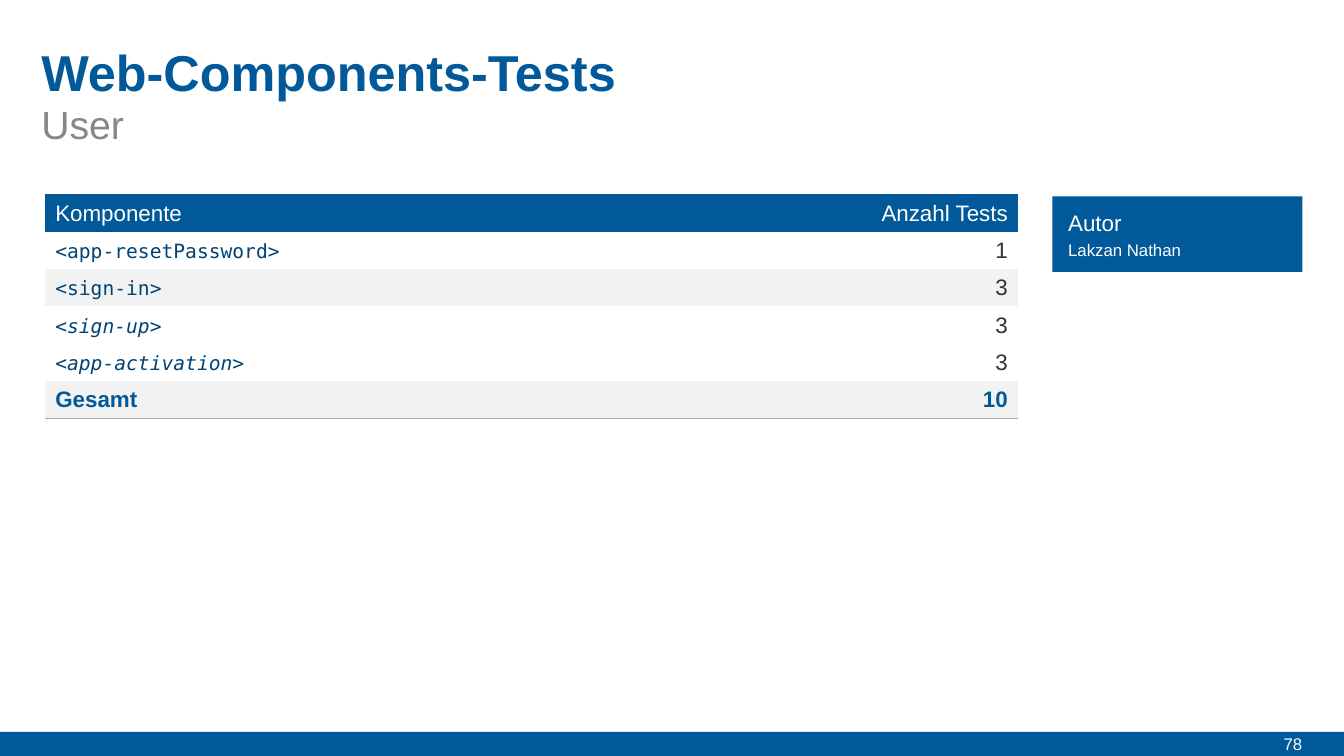
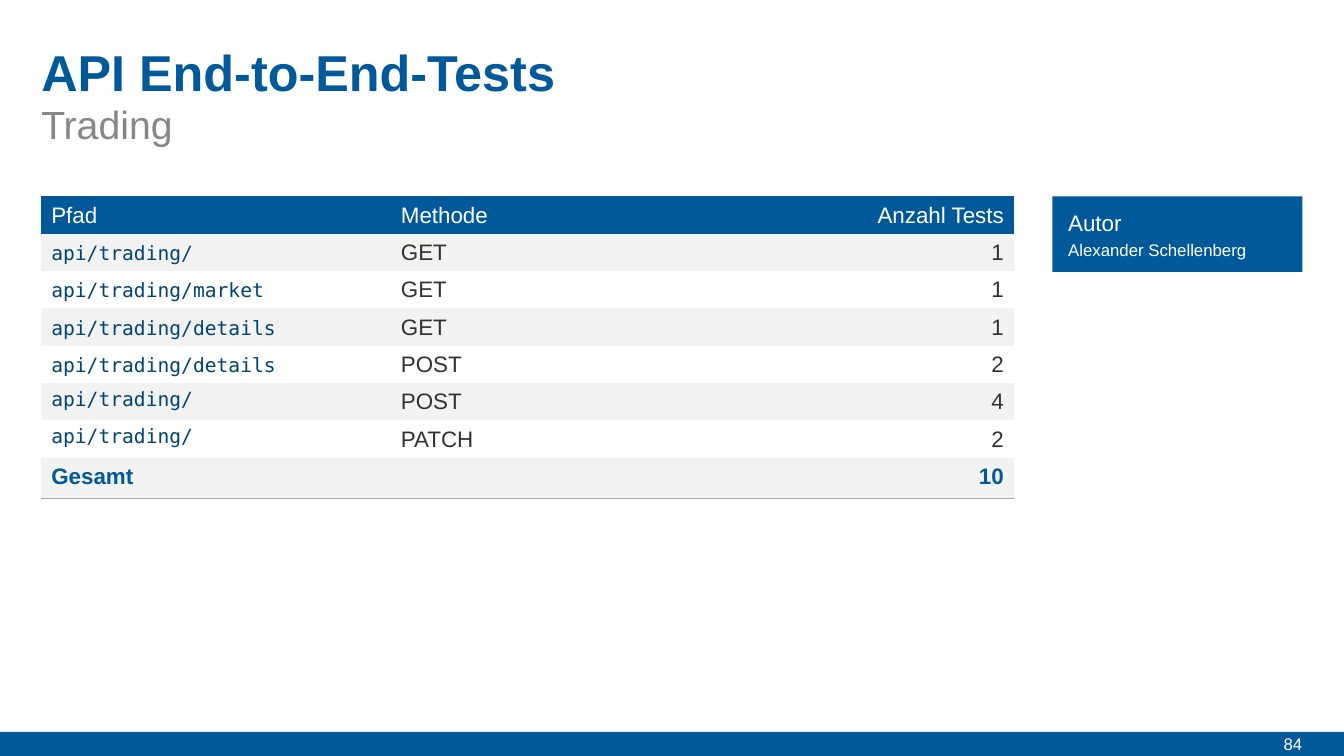
import pptx
import pptx.dml.color
import pptx.enum.shapes
import pptx.enum.text
import pptx.oxml
import pptx.oxml.ns
import pptx.util
from lxml import etree

Cm = pptx.util.Cm
Pt = pptx.util.Pt
Align = pptx.enum.text.PP_ALIGN
Anchor = pptx.enum.text.MSO_ANCHOR
AutoSize = pptx.enum.text.MSO_AUTO_SIZE

COLORS = {
    "blue": "015999",
    "navy": "014373",
    "gray": "878787",
    "text": "33322F",
    "shade": "F2F2F2",
    "rule": "A9A9A9",
    "white": "FFFFFF",
}
FONTS = {
    "title": {"name": "Arial", "size": Pt(36), "bold": True, "color": "blue"},
    "subtitle": {"name": "Arial", "size": Pt(28), "color": "gray"},
    "header": {"name": "Arial", "size": Pt(16), "color": "white"},
    "small": {"name": "Arial", "size": Pt(12), "color": "white"},
    "body": {"name": "Arial", "size": Pt(16), "color": "text"},
    "total": {"name": "Arial", "size": Pt(16), "bold": True, "color": "blue"},
    "code": {"name": "DejaVu Sans Mono", "size": Pt(14), "color": "navy"},
}
FONTS["code italic"] = FONTS["code"] | {"italic": True}

PAGE_WIDTH, PAGE_HEIGHT = 33.87, 19.05
MARGIN = 1.04
CONTENT_TOP = 4.95
CONTENT_WIDTH = 24.51
FOOTER_HEIGHT = 0.61
ROW_HEIGHT = 0.94
LINE = Pt(19)
PLAIN_TABLE_STYLE = "{2D5ABB26-0587-4C30-8999-92F81FD0307C}"


def rgb(color):
    return pptx.dml.color.RGBColor.from_string(COLORS[color])


def set_attributes(target, values):
    for name, value in values.items():
        setattr(target, name, value)


class Deck:
    def __init__(self):
        self.presentation = pptx.Presentation()
        self.presentation.slide_width = Cm(PAGE_WIDTH)
        self.presentation.slide_height = Cm(PAGE_HEIGHT)
        self.slide = None

    def add_slide(self, title, subtitle, number, author):
        layout = self.presentation.slide_layouts[1]
        self.slide = self.presentation.slides.add_slide(layout)
        footer_top = PAGE_HEIGHT - FOOTER_HEIGHT
        self.add_band(0, footer_top, PAGE_WIDTH, FOOTER_HEIGHT)
        self.add_text(number, "small", (30.94, footer_top, 1.88, FOOTER_HEIGHT),
                      anchor=Anchor.MIDDLE, alignment=Align.RIGHT)
        self.fill_placeholder(0, title, "title", 1.04, 1.57)
        self.fill_placeholder(1, subtitle, "subtitle", 2.41, 1.4, 1.1)
        self.add_author(author)

    def set_paragraph(self, paragraph, text, style, **formats):
        set_attributes(paragraph, formats)
        run = paragraph.add_run()
        run.text = text
        values = dict(FONTS[style])
        run.font.color.rgb = rgb(values.pop("color"))
        set_attributes(run.font, values)

    def set_frame(self, frame, anchor=Anchor.TOP, auto_size=AutoSize.NONE):
        set_attributes(frame, {
            "margin_left": 0, "margin_top": 0,
            "margin_right": 0, "margin_bottom": 0,
            "word_wrap": True, "vertical_anchor": anchor,
            "auto_size": auto_size,
        })

    def fill_placeholder(self, index, text, style, top, height, spacing=1.0):
        shape = self.slide.placeholders[index]
        set_attributes(shape, {
            "left": Cm(MARGIN), "top": Cm(top),
            "width": Cm(CONTENT_WIDTH), "height": Cm(height),
        })
        self.set_frame(shape.text_frame)
        paragraph = shape.text_frame.paragraphs[0]
        properties = paragraph._p.get_or_add_pPr()
        properties.set("marL", "0")
        properties.set("indent", "0")
        etree.SubElement(properties, pptx.oxml.ns.qn("a:buNone"))
        self.set_paragraph(paragraph, text, style, alignment=Align.LEFT,
                           line_spacing=spacing, space_before=Pt(0))

    def add_band(self, left, top, width, height):
        shape = self.slide.shapes.add_shape(
            pptx.enum.shapes.MSO_SHAPE.RECTANGLE,
            Cm(left), Cm(top), Cm(width), Cm(height))
        shape.shadow.inherit = False
        shape.fill.solid()
        shape.fill.fore_color.rgb = rgb("blue")
        shape.line.fill.background()

    def add_text(self, text, style, box, anchor=Anchor.TOP,
                 auto_size=AutoSize.NONE, **formats):
        shape = self.slide.shapes.add_textbox(*map(Cm, box))
        self.set_frame(shape.text_frame, anchor, auto_size)
        self.set_paragraph(shape.text_frame.paragraphs[0], text, style, **formats)

    def add_author(self, name):
        self.add_band(26.52, CONTENT_TOP, 6.3, 1.9)
        grow = AutoSize.SHAPE_TO_FIT_TEXT
        self.add_text("Autor", "header", (26.92, 5.28, 5.51, 0.67),
                      auto_size=grow, line_spacing=LINE)
        self.add_text(name, "small", (26.92, 6.05, 5.51, 0.5),
                      auto_size=grow, line_spacing=Pt(14))

    def add_table(self, left, top, widths, header, rows, total):
        records = [("blue", "header", "header", LINE, header)]
        records += [(fill, style, "body", spacing, values)
                    for fill, style, spacing, *values in rows]
        records.append(("shade", "total", "total", LINE, total))
        table = self.slide.shapes.add_table(
            len(records), len(widths), Cm(left), Cm(top),
            Cm(sum(widths)), Cm(ROW_HEIGHT * len(records))).table
        set_attributes(table, {"first_row": False, "horz_banding": False})
        table._tbl.tblPr.find(pptx.oxml.ns.qn("a:tableStyleId")).text = PLAIN_TABLE_STYLE
        for column, width in zip(table.columns, widths):
            column.width = Cm(width)
        last = len(widths) - 1
        for row, (fill, first_style, style, spacing, values) in zip(table.rows, records):
            row.height = Cm(ROW_HEIGHT)
            for index, (cell, value) in enumerate(zip(row.cells, values)):
                cell.fill.solid()
                cell.fill.fore_color.rgb = rgb(fill)
                self.set_paragraph(
                    cell.text_frame.paragraphs[0], value,
                    style if index else first_style,
                    alignment=Align.RIGHT if index == last else Align.LEFT,
                    line_spacing=LINE if index else spacing)
        for cell in table.rows[len(records) - 1].cells:
            self.add_bottom_border(cell)

    def add_bottom_border(self, cell):
        border = pptx.oxml.parse_xml(
            f'<a:lnB {pptx.oxml.ns.nsdecls("a")} w="{Pt(0.5)}"><a:solidFill>'
            f'<a:srgbClr val="{COLORS["rule"]}"/></a:solidFill></a:lnB>')
        cell._tc.get_or_add_tcPr().insert(0, border)


def main():
    deck = Deck()

    deck.add_slide("Web-Components-Tests", "User", "78", "Lakzan Nathan")
    deck.add_table(
        1.14, 4.9, [CONTENT_WIDTH / 2] * 2,
        ["Komponente", "Anzahl Tests"],
        [
            ("white", "code", LINE, "<app-resetPassword>", "1"),
            ("shade", "code", LINE, "<sign-in>", "3"),
            ("white", "code italic", LINE, "<sign-up>", "3"),
            ("white", "code italic", LINE, "<app-activation>", "3"),
        ],
        ["Gesamt", "10"])

    deck.add_slide("API End-to-End-Tests", "Trading", "84", "Alexander Schellenberg")
    deck.add_table(
        MARGIN, CONTENT_TOP, [8.81, 7.52, 8.18],
        ["Pfad", "Methode", "Anzahl Tests"],
        [
            ("shade", "code", LINE, "api/trading/", "GET", "1"),
            ("white", "code", LINE, "api/trading/market", "GET", "1"),
            ("shade", "code", LINE, "api/trading/details", "GET", "1"),
            ("white", "code", LINE, "api/trading/details", "POST", "2"),
            ("shade", "code", 1.0, "api/trading/", "POST", "4"),
            ("white", "code", 1.0, "api/trading/", "PATCH", "2"),
        ],
        ["Gesamt", "", "10"])

    deck.presentation.save("out.pptx")


if __name__ == "__main__":
    main()
